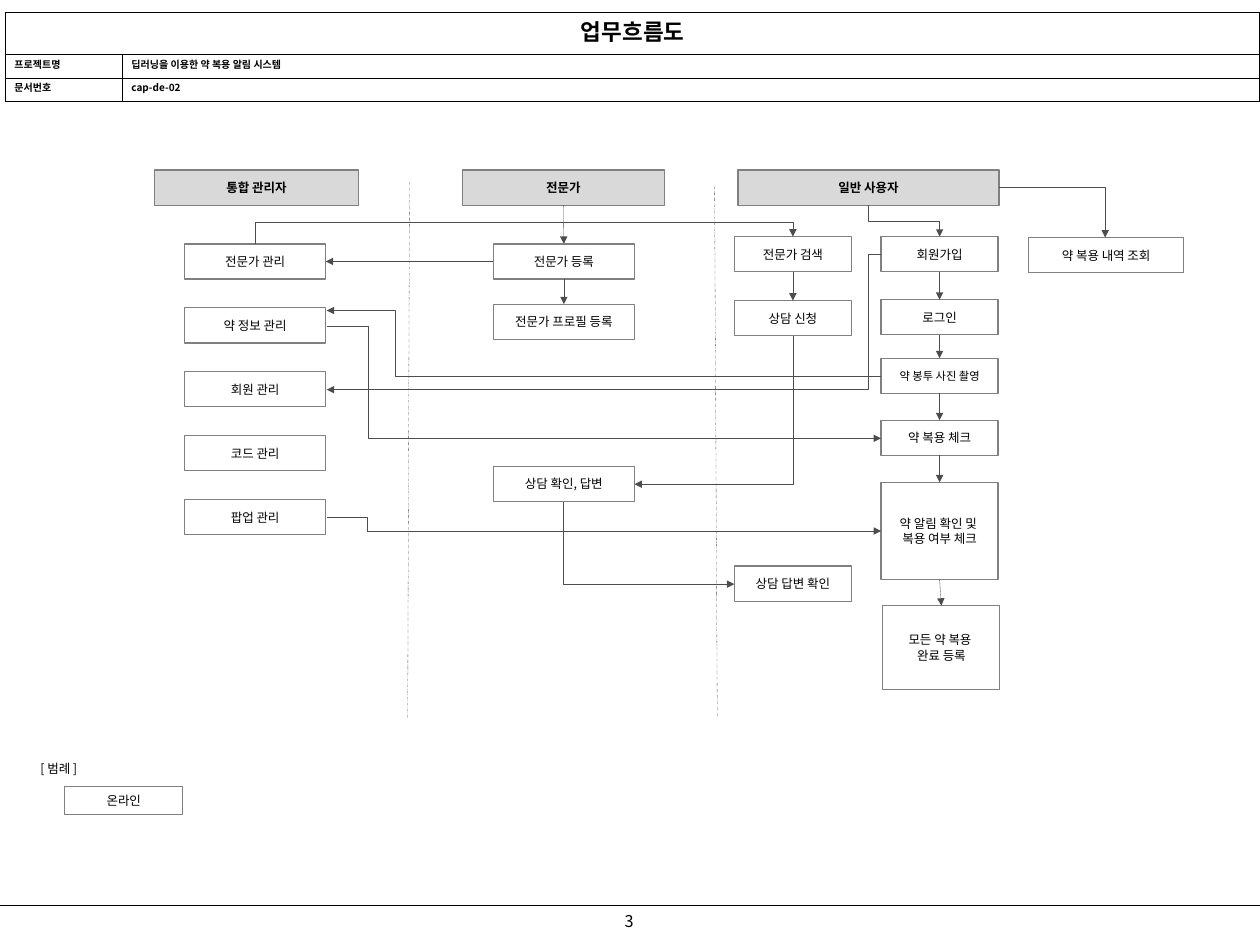
import dataclasses

import lxml.etree
import pptx
import pptx.dml.color
import pptx.enum.dml
import pptx.enum.shapes
import pptx.enum.text
import pptx.oxml.ns
import pptx.util

Inches = pptx.util.Inches
Pt = pptx.util.Pt
qn = pptx.oxml.ns.qn
CENTER = pptx.enum.text.PP_ALIGN.CENTER
LEFT = pptx.enum.text.PP_ALIGN.LEFT
TOP_SIDE, LEFT_SIDE, BOTTOM_SIDE, RIGHT_SIDE = range(4)


@dataclasses.dataclass(frozen=True)
class Theme:
    font: str = "Noto Sans CJK KR"
    ink: str = "000000"
    paper: str = "FFFFFF"
    role: str = "D9D9D9"
    edge: str = "808080"
    flow: str = "4D4D4D"
    title: int = 18
    number: int = 13
    body: int = 10
    small: int = 9
    field: int = 8
    rule: float = 1
    thin: float = 0.25


THEME = Theme()


def color(value):
    return pptx.dml.color.RGBColor.from_string(value)


def apply(target, values):
    for name, value in values.items():
        setattr(target, name, value)


def write(frame, lines, size=THEME.body, bold=False, align=CENTER):
    for index, line in enumerate(lines):
        para = frame.add_paragraph() if index else frame.paragraphs[0]
        para.alignment = align
        span = para.add_run()
        span.text = line
        apply(span.font, {"size": Pt(size), "bold": bold, "name": THEME.font})
        span.font.color.rgb = color(THEME.ink)
        east = lxml.etree.SubElement(span.font._element, qn("a:ea"))
        east.set("typeface", THEME.font)


def add_box(page, lines, left, top, width, height=0.39, size=THEME.body, role=False):
    box = page.shapes.add_shape(pptx.enum.shapes.MSO_SHAPE.RECTANGLE,
                                *map(Inches, (left, top, width, height)))
    box.shadow.inherit = False
    box.fill.solid()
    box.fill.fore_color.rgb = color(THEME.role if role else THEME.paper)
    box.line.color.rgb = color(THEME.edge)
    box.line.width = Pt(THEME.rule)
    apply(box.text_frame, {"word_wrap": False,
                           "vertical_anchor": pptx.enum.text.MSO_ANCHOR.MIDDLE})
    write(box.text_frame, lines, size, role)
    return box


def add_label(page, text, place, size, wrap, align, margins=(0.1, 0.05)):
    box = page.shapes.add_textbox(*map(Inches, place))
    across, down = map(Inches, margins)
    apply(box.text_frame, {"word_wrap": wrap, "margin_left": across, "margin_right": across,
                           "margin_top": down, "margin_bottom": down})
    write(box.text_frame, [text], size, align=align)


def add_line(page, start, end, shade=THEME.flow, width=THEME.thin, arrow=False,
             kind=pptx.enum.shapes.MSO_CONNECTOR.STRAIGHT):
    line = page.shapes.add_connector(kind, *map(Inches, (*start, *end)))
    line.line.color.rgb = color(shade)
    line.line.width = Pt(width)
    if arrow:
        lxml.etree.SubElement(line.line._get_or_add_ln(), qn("a:tailEnd")).set("type", "triangle")
    lxml.etree.SubElement(line._element.spPr, qn("a:effectLst"))
    return line


def add_divider(page, start, end):
    add_line(page, start, end).line.dash_style = pptx.enum.dml.MSO_LINE.DASH_DOT_DOT


def join(page, source, source_side, target, target_side):
    arrow = add_line(page, (0, 0), (1, 1), arrow=True)
    arrow.begin_connect(source, source_side)
    arrow.end_connect(target, target_side)


def add_elbow(page, start, end, bend=None, upright=False):
    """Bend once, or twice with the middle leg at the coordinate bend; upright leaves vertically."""
    (x1, y1), (x2, y2) = start, end
    dx, dy = x2 - x1, y2 - y1
    if upright:
        length, depth = abs(dy), abs(dx)
        turn = 270 if dx > 0 and dy > 0 else 90
        flip_h, flip_v = dx > 0, dy < 0
        share = bend and (bend - y1) / dy
    else:
        length, depth = abs(dx), abs(dy)
        turn = 180 if dx < 0 else 0
        flip_h, flip_v = False, (dx < 0) == (dy > 0)
        share = bend and (bend - x1) / dx
    left, top = (x1 + x2 - length) / 2, (y1 + y2 - depth) / 2
    elbow = add_line(page, (left, top), (left + length, top + depth), arrow=True,
                     kind=pptx.enum.shapes.MSO_CONNECTOR.ELBOW)
    frame = elbow._element.spPr.find(qn("a:xfrm"))
    for name, value in {"rot": turn * 60000, "flipH": int(flip_h), "flipV": int(flip_v)}.items():
        frame.set(name, str(value))
    shape = elbow._element.spPr.find(qn("a:prstGeom"))
    if bend is None:
        shape.set("prst", "bentConnector2")
        return
    guides = shape.find(qn("a:avLst"))
    if guides is None:
        guides = lxml.etree.SubElement(shape, qn("a:avLst"))
    guide = lxml.etree.SubElement(guides, qn("a:gd"))
    guide.set("name", "adj1")
    guide.set("fmla", f"val {round(share * 100000)}")


def add_borders(cell):
    properties = cell._tc.get_or_add_tcPr()
    for index, side in enumerate(("lnL", "lnR", "lnT", "lnB")):
        border = lxml.etree.Element(qn(f"a:{side}"), w=str(Pt(THEME.rule)))
        fill = lxml.etree.SubElement(border, qn("a:solidFill"))
        lxml.etree.SubElement(fill, qn("a:srgbClr")).set("val", THEME.ink)
        properties.insert(index, border)


def add_heading(page):
    rows = [["업무흐름도", ""], ["프로젝트명", "딥러닝을 이용한 약 복용 알림 시스템"],
            ["문서번호", "cap-de-02"]]
    table = page.shapes.add_table(3, 2, *map(Inches, (0.06, 0.14, 13.94, 0.99))).table
    apply(table, {"first_row": False, "horz_banding": False})
    for column, width in zip(table.columns, (1.3, 12.64)):
        column.width = Inches(width)
    for row, height in zip(table.rows, (0.47, 0.26, 0.26)):
        row.height = Inches(height)
    table.cell(0, 0).merge(table.cell(0, 1))
    for index, texts in enumerate(rows):
        for column, text in enumerate(texts):
            cell = table.cell(index, column)
            apply(cell, {"margin_left": Inches(0.1), "margin_right": Inches(0.1),
                         "margin_top": Inches(0.02), "margin_bottom": Inches(0.02)})
            cell.fill.solid()
            cell.fill.fore_color.rgb = color(THEME.paper)
            add_borders(cell)
            if text:
                write(cell.text_frame, [text], THEME.field if index else THEME.title, True,
                      LEFT if index else CENTER)


def add_admin_lane(page):
    add_box(page, ["통합 관리자"], 1.72, 1.89, 2.26, role=True)
    names = ["전문가 관리", "약 정보 관리", "회원 관리", "코드 관리", "팝업 관리"]
    return [add_box(page, [name], 2.05, 2.71 + 0.71 * row, 1.57)
            for row, name in enumerate(names)]


def add_expert_lane(page, expert_admin):
    expert = add_box(page, ["전문가"], 5.14, 1.89, 2.24, role=True)
    register, profile, _ = [
        add_box(page, [name], 5.48, top, 1.57)
        for name, top in (("전문가 등록", 2.71), ("전문가 프로필 등록", 3.38), ("상담 확인, 답변", 5.18))]
    join(page, expert, BOTTOM_SIDE, register, TOP_SIDE)
    join(page, register, BOTTOM_SIDE, profile, TOP_SIDE)
    join(page, register, LEFT_SIDE, expert_admin, RIGHT_SIDE)


def add_user_lane(page):
    add_box(page, ["일반 사용자"], 8.2, 1.89, 2.9, role=True)
    search, request, _ = [
        add_box(page, [name], 8.16, top, 1.3)
        for name, top in (("전문가 검색", 2.63), ("상담 신청", 3.34), ("상담 답변 확인", 6.29))]
    join(page, search, BOTTOM_SIDE, request, TOP_SIDE)
    add_box(page, ["약 복용 내역 조회"], 11.43, 2.64, 1.72)
    steps = [(["회원가입"], 9.79, 2.63, 1.3), (["로그인"], 9.79, 3.33, 1.3),
             (["약 봉투 사진 촬영"], 9.79, 3.98, 1.3, 0.39, THEME.small),
             (["약 복용 체크"], 9.79, 4.67, 1.3),
             (["약 알림 확인 및 ", " 복용 여부 체크 "], 9.79, 5.36, 1.3, 1.08),
             (["모든 약 복용 ", "완료 등록"], 9.81, 6.73, 1.3, 0.93)]
    boxes = [add_box(page, *step) for step in steps]
    for above, below in zip(boxes, boxes[1:]):
        join(page, above, BOTTOM_SIDE, below, TOP_SIDE)


def add_cross_flows(page):
    admin, user = 3.63, 9.79
    add_elbow(page, (2.84, 2.71), (8.81, 2.63), 2.47, upright=True)
    add_elbow(page, (9.65, 2.28), (10.44, 2.63), 2.46, upright=True)
    add_elbow(page, (8.81, 3.73), (7.05, 5.38), upright=True)
    add_elbow(page, (6.26, 5.58), (8.16, 6.49), upright=True)
    add_elbow(page, (11.1, 2.08), (12.28, 2.64))
    add_elbow(page, (admin, 3.62), (user, 4.87), 4.09)
    add_elbow(page, (admin, 5.75), (user, 5.9), 4.08)
    add_elbow(page, (user, 4.18), (admin, 3.45), 4.39)
    add_elbow(page, (user, 2.83), (admin, 4.33), 9.64)


def main():
    deck = pptx.Presentation()
    apply(deck, {"slide_width": Inches(14), "slide_height": Inches(10.5)})
    page = deck.slides.add_slide(deck.slide_layouts[6])
    add_label(page, "3", (6.72, 10.06, 0.54, 0.35), THEME.number, False, CENTER, (0.13, 0.07))
    add_line(page, (0, 10.06), (14, 10.06), THEME.ink, THEME.rule)
    add_box(page, ["온라인"], 0.72, 8.74, 1.31, 0.31)
    add_label(page, "[ 범례 ]", (0.35, 8.41, 0.64, 0.27), THEME.body, True, LEFT)
    add_heading(page)
    add_divider(page, (4.55, 2.02), (4.53, 7.98))
    add_divider(page, (7.94, 2.07), (7.97, 7.98))
    admin_boxes = add_admin_lane(page)
    add_expert_lane(page, admin_boxes[0])
    add_user_lane(page)
    add_cross_flows(page)
    deck.save("out.pptx")


if __name__ == "__main__":
    main()
